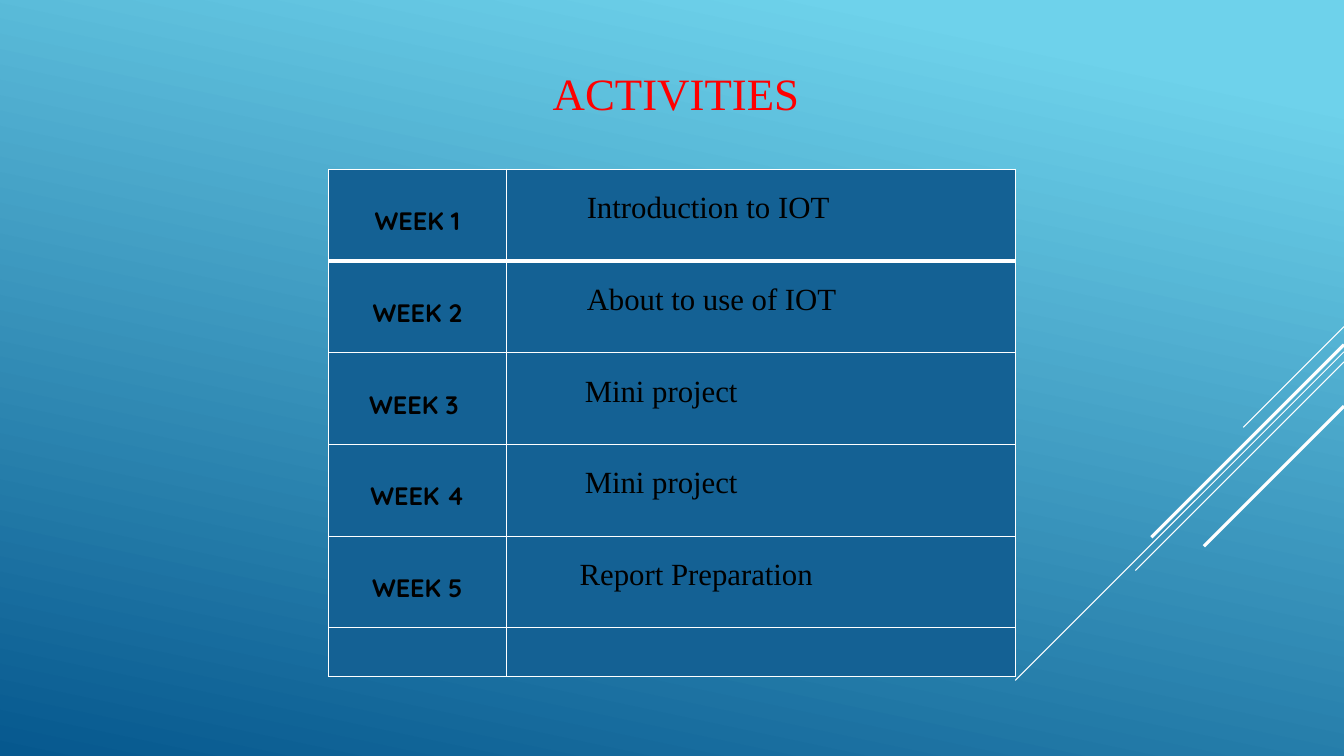
from lxml import etree
from pptx import Presentation
from pptx.dml.color import RGBColor
from pptx.enum.shapes import MSO_CONNECTOR
from pptx.enum.text import PP_ALIGN
from pptx.oxml.ns import qn
from pptx.util import Inches, Pt

STRAIGHT = MSO_CONNECTOR.STRAIGHT
LEFT, CENTER, JUSTIFY = PP_ALIGN.LEFT, PP_ALIGN.CENTER, PP_ALIGN.JUSTIFY
SERIF, ROUNDED = "Times New Roman", "Quicksand"
WHITE, BLACK, RED = "FFFFFF", "000000", "FF0000"
CELL_BLUE, SKY, DEEP = "146194", "6ED2EB", "06588E"

# week, activity, left indent of the activity, alignment
ACTIVITIES = [
    ("WEEK 1", "Introduction to IOT", 0.8, JUSTIFY),
    ("WEEK 2", "About to use of IOT", 0.8, LEFT),
    ("WEEK 3 ", "Mini project", 0.78, LEFT),
    ("WEEK 4", "Mini project", 0.78, LEFT),
    ("WEEK 5", "Report Preparation", 0.73, LEFT),
]
COLUMN_WIDTHS = [1.76, 5.05]
ROW_HEIGHTS = [0.91] * len(ACTIVITIES) + [0.48]

# height at the right edge, horizontal run, weight; all fall at 45 degrees
DIAGONALS = [
    (3.24, 1.0, 0.75),
    (3.49, 3.26, 0.75),
    (3.59, 2.07, 0.75),
    (3.42, 1.91, 2.25),
    (4.03, 1.39, 2.25),
]


def color(code):
    return RGBColor.from_string(code)


class SlideBuilder:
    def __init__(self, deck):
        self.slide = deck.slides.add_slide(deck.slide_layouts[6])

    def background(self, stops, angle):
        """Fill with a gradient; the angle runs clockwise in degrees."""
        fill = self.slide.background.fill
        fill.gradient()
        fill.gradient_angle = 360 - angle
        for stop, (position, code) in zip(fill.gradient_stops, stops):
            stop.position = position
            stop.color.rgb = color(code)

    def line(self, start, end, weight):
        points = [Inches(value) for value in (*start, *end)]
        connector = self.slide.shapes.add_connector(STRAIGHT, *points)
        connector.line.color.rgb = color(WHITE)
        connector.line.width = Pt(weight)
        properties = connector._element.spPr
        etree.SubElement(properties, qn("a:effectLst"))

    def add_text(self, frame, text, size, font, code, align, bold=False):
        para = frame.paragraphs[0]
        para.alignment = align
        span = para.add_run()
        span.text = text
        span.font.size = Pt(size)
        span.font.name = font
        span.font.bold = bold
        span.font.color.rgb = color(code)
        return para

    def title(self, text, left, top, width, height):
        box = self.slide.shapes.add_textbox(
            Inches(left), Inches(top), Inches(width), Inches(height))
        box.text_frame.word_wrap = True
        self.add_text(box.text_frame, text, 32, SERIF, RED, CENTER)

    def table(self, left, top, widths, heights):
        """Add an empty table with blue cells and white borders."""
        table = self.slide.shapes.add_table(
            len(heights), len(widths), Inches(left), Inches(top),
            Inches(sum(widths)), Inches(sum(heights))).table
        table.first_row = False
        table.horz_banding = False
        for column, width in zip(table.columns, widths):
            column.width = Inches(width)
        for index, (row, height) in enumerate(zip(table.rows, heights)):
            row.height = Inches(height)
            for cell in row.cells:
                self.borders(cell, top=3 if index == 1 else 1,
                             bottom=3 if index == 0 else 1)
                cell.fill.solid()
                cell.fill.fore_color.rgb = color(CELL_BLUE)
        return table

    def borders(self, cell, top, bottom):
        properties = cell._tc.get_or_add_tcPr()
        for side, weight in (("L", 1), ("R", 1), ("T", top), ("B", bottom)):
            edge = etree.SubElement(properties, qn("a:ln" + side), w=str(Pt(weight)))
            fill = etree.SubElement(edge, qn("a:solidFill"))
            etree.SubElement(fill, qn("a:srgbClr"), val=WHITE)

    def week_cell(self, cell, text):
        cell.margin_top = Inches(0.36)
        self.add_text(cell.text_frame, text, 18, ROUNDED, BLACK, CENTER, bold=True)

    def activity_cell(self, cell, text, indent, align):
        cell.margin_left = Inches(indent)
        para = self.add_text(cell.text_frame, text, 22, SERIF, BLACK, align)
        para.line_spacing = 1.5


def main():
    deck = Presentation()
    deck.slide_width = Inches(13.33)
    deck.slide_height = Inches(7.5)
    page = SlideBuilder(deck)

    page.background([(0.1, SKY), (1, DEEP)], 102)
    for height, run, weight in DIAGONALS:
        page.line((13.33, height), (13.33 - run, height + run), weight)
    page.title("ACTIVITIES", 0.36, 0.6, 12.69, 0.64)

    schedule = page.table(3.26, 1.68, COLUMN_WIDTHS, ROW_HEIGHTS)
    for row, (week, activity, indent, align) in enumerate(ACTIVITIES):
        page.week_cell(schedule.cell(row, 0), week)
        page.activity_cell(schedule.cell(row, 1), activity, indent, align)

    deck.save("out.pptx")


if __name__ == "__main__":
    main()
